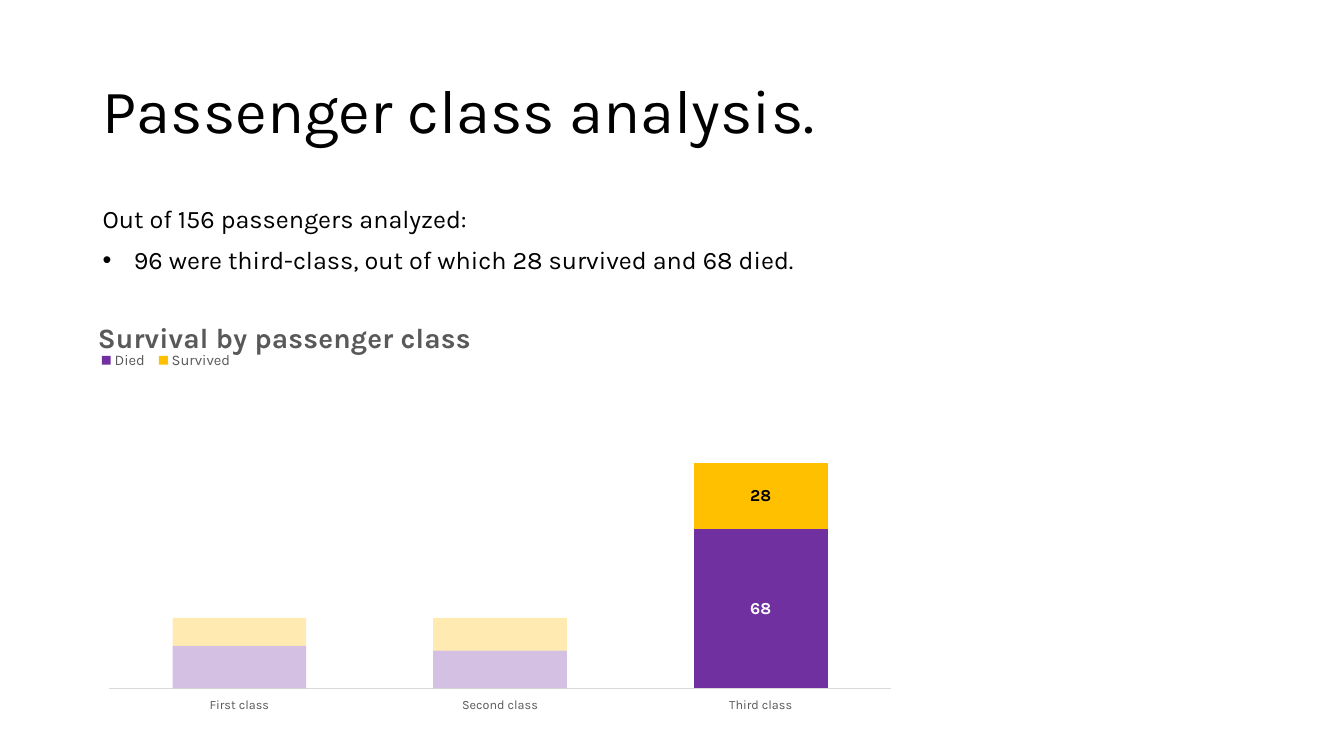
from lxml.etree import SubElement
from pptx import Presentation
from pptx.chart.data import CategoryChartData
from pptx.dml.color import RGBColor as RGB
from pptx.enum.chart import XL_CHART_TYPE as ChartType, XL_LEGEND_POSITION as LegendPos
from pptx.enum.chart import XL_TICK_LABEL_POSITION as LabelPos, XL_TICK_MARK as Tick
from pptx.enum.text import MSO_ANCHOR as Anchor, PP_ALIGN as Align
from pptx.oxml.ns import qn
from pptx.util import Inches, Pt

FONT = "Karla"
COLORS = {
    "black": "000000", "white": "FFFFFF", "gray": "595959", "line": "D9D9D9",
    "purple": "7030A0", "gold": "FFC000",
}
TITLE = "Passenger class analysis."
BODY = [
    ("Out of 156 passengers analyzed:", False),
    (" 96 were third-class, out of which 28 survived and 68 died.", True),
]
CHART_TITLE = "Survival by passenger class"
CLASSES = ["First class", "Second class", "Third class"]
SERIES = [
    ("Died", (18, 16, 68), "purple", "white"),
    ("Survived", (12, 14, 28), "gold", "black"),
]
HIGHLIGHT = 2
FADED_ALPHA = 30000
TITLE_BOX = (0.92, 0.4, 11.5, 1.45)
BODY_BOX = (0.92, 2, 11.5, 1.0)
CHART_BOX = (0.92, 3.07, 8.08, 4.04)
TITLE_LAYOUT = {"x": 0.0, "y": 0.01}
LEGEND_LAYOUT = {"x": 0.0, "y": 0.09, "w": 0.18, "h": 0.07}
PLOT_LAYOUT = {"x": 0.02, "y": 0.24, "w": 0.96, "h": 0.69}


def style(font, size, color, bold=False):
    font.name = FONT
    font.size = Pt(size)
    font.bold = bold
    font.color.rgb = RGB.from_string(COLORS[color])


def add_run(p, text, size, color="black", bold=False):
    r = p.add_run()
    r.text = text
    style(r.font, size, color, bold)


def set_bullet(p):
    pPr = p._p.get_or_add_pPr()
    pPr.set("marL", str(Inches(0.25)))
    pPr.set("indent", str(-Inches(0.25)))
    SubElement(pPr, qn("a:buFont"), typeface="Arial")
    SubElement(pPr, qn("a:buChar"), char="•")


def set_layout(element, index, sizes, inner=False):
    for old in element.findall(qn("c:layout")):
        element.remove(old)
    layout = element.makeelement(qn("c:layout"), {})
    element.insert(index, layout)
    manual = SubElement(layout, qn("c:manualLayout"))
    if inner:
        SubElement(manual, qn("c:layoutTarget"), val="inner")
    for key in "xy":
        SubElement(manual, qn(f"c:{key}Mode"), val="edge")
    for key, value in sizes.items():
        SubElement(manual, qn(f"c:{key}"), val=str(value))


def add_title(slide):
    sp = slide.shapes.title
    sp.left, sp.top, sp.width, sp.height = map(Inches, TITLE_BOX)
    tf = sp.text_frame
    tf.vertical_anchor = Anchor.MIDDLE
    p = tf.paragraphs[0]
    p.alignment = Align.LEFT
    p.line_spacing = 0.9
    add_run(p, TITLE, 44)


def add_body(slide):
    tf = slide.shapes.add_textbox(*map(Inches, BODY_BOX)).text_frame
    tf.word_wrap = True
    for i, (text, bulleted) in enumerate(BODY):
        p = tf.add_paragraph() if i else tf.paragraphs[0]
        p.line_spacing = 0.9
        p.space_before = Pt(10)
        if bulleted:
            set_bullet(p)
        add_run(p, text, 18)


def style_series(s, fill, label):
    s.format.fill.solid()
    s.format.fill.fore_color.rgb = RGB.from_string(COLORS[fill])
    s.data_labels.show_value = False
    style(s.points[HIGHLIGHT].data_label.font, 12, label, True)
    for i in range(len(CLASSES)):
        if i != HIGHLIGHT:
            point_fill = s.points[i].format.fill
            point_fill.solid()
            point_fill.fore_color.rgb = RGB.from_string(COLORS[fill])
    for point in s._element.findall(qn("c:dPt")):
        for color in point.iter(qn("a:srgbClr")):
            SubElement(color, qn("a:alpha"), val=str(FADED_ALPHA))


def add_survival_chart(slide):
    data = CategoryChartData()
    data.categories = CLASSES
    for name, values, *_ in SERIES:
        data.add_series(name, values)
    frame = slide.shapes.add_chart(
        ChartType.COLUMN_STACKED, *map(Inches, CHART_BOX), data)
    chart = frame.chart
    style(chart.font, 10, "black")

    chart.has_title = True
    add_run(chart.chart_title.text_frame.paragraphs[0], CHART_TITLE, 20, "gray", True)
    set_layout(chart.chart_title._element, 1, TITLE_LAYOUT)

    chart.has_legend = True
    legend = chart.legend
    legend.position = LegendPos.TOP
    legend.include_in_layout = False
    style(legend.font, 10.5, "gray")
    set_layout(legend._element, 1, LEGEND_LAYOUT)

    plot = chart.plots[0]
    plot.gap_width = 95
    plot.overlap = 100
    plot.vary_by_categories = False
    set_layout(chart._chartSpace.find(".//" + qn("c:plotArea")), 0, PLOT_LAYOUT, True)
    for s, (_, _, fill, label) in zip(plot.series, SERIES):
        style_series(s, fill, label)

    classes = chart.category_axis
    classes.major_tick_mark = Tick.NONE
    classes.tick_label_position = LabelPos.LOW
    classes.format.line.color.rgb = RGB.from_string(COLORS["line"])
    classes.format.line.width = Pt(0.75)
    style(classes.tick_labels.font, 9, "gray")

    counts = chart.value_axis
    counts.minimum_scale = 0
    counts.maximum_scale = 120
    counts.has_major_gridlines = False
    counts.visible = False


def main():
    prs = Presentation()
    prs.slide_width, prs.slide_height = Inches(13.33), Inches(7.5)
    slide = prs.slides.add_slide(prs.slide_layouts[5])
    add_title(slide)
    add_body(slide)
    add_survival_chart(slide)
    prs.save("out.pptx")


if __name__ == "__main__":
    main()
